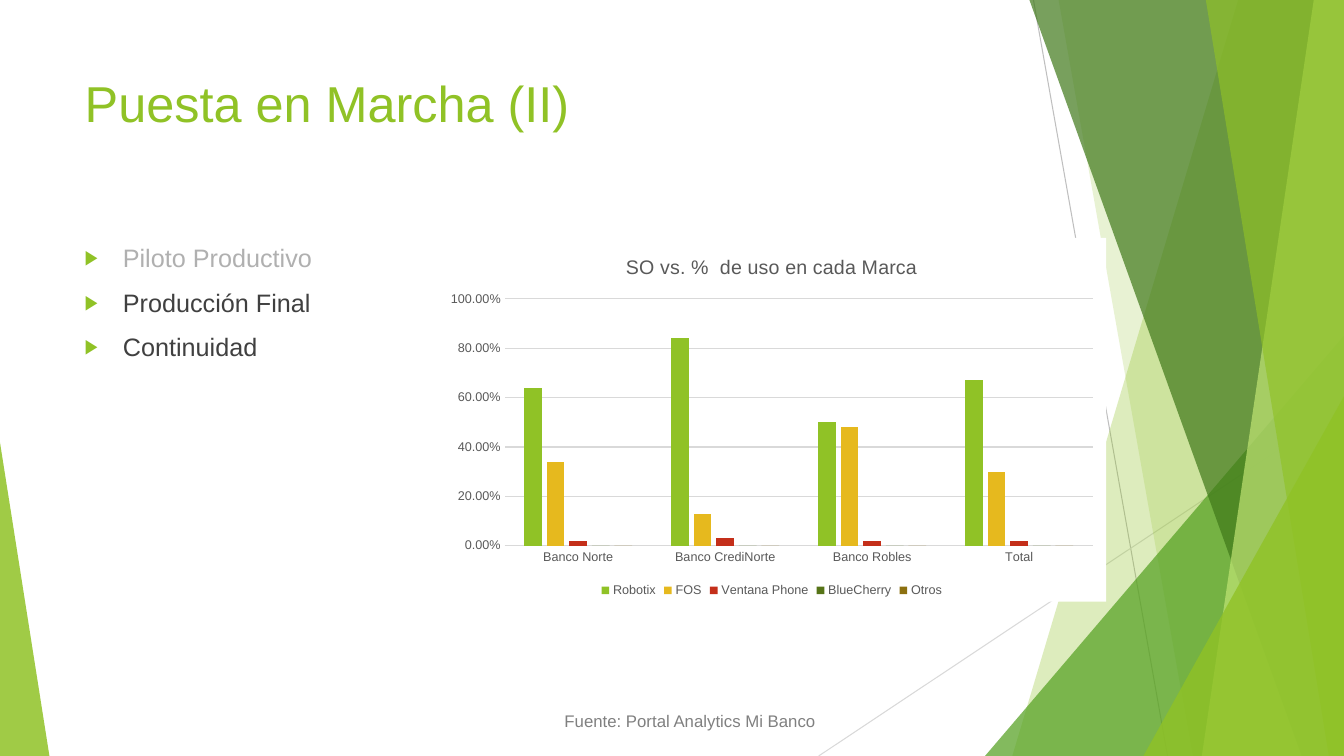
import dataclasses
import typing

import lxml.etree
import pptx
import pptx.chart.data
import pptx.dml.color
import pptx.enum.chart
import pptx.enum.shapes
import pptx.enum.text
import pptx.oxml
import pptx.oxml.ns
import pptx.util

Inches = pptx.util.Inches
Pt = pptx.util.Pt
qn = pptx.oxml.ns.qn
Point = tuple[float, float]


@dataclasses.dataclass(frozen=True)
class Theme:
    font: str = "Arial"
    green: str = "90C226"
    forest: str = "3F7819"
    leaf: str = "54A021"
    lime: str = "C0E474"
    body: str = "404040"
    muted: str = "B0B0B0"
    source: str = "808080"
    chart_text: str = "595959"
    rule: str = "D9D9D9"
    dark_rule: str = "BFBFBF"
    white: str = "FFFFFF"
    title_size: int = 36
    body_size: int = 18
    chart_title_size: int = 14
    source_size: int = 12
    chart_size: int = 9
    line_width: float = 0.75


THEME = Theme()


@dataclasses.dataclass(frozen=True)
class Ray:
    start: Point
    end: Point
    color: str


@dataclasses.dataclass(frozen=True)
class Facet:
    outline: tuple[Point, ...]
    color: str
    opacity: int


@dataclasses.dataclass(frozen=True)
class Corner:
    box: tuple[float, float, float, float]
    apex: float
    color: str
    opacity: int


@dataclasses.dataclass(frozen=True)
class Series:
    name: str
    values: tuple[float, ...]
    color: str


def right_facet(top: float, bottom: float, color: str, opacity: int) -> Facet:
    return Facet(((top, 0), (13.33, 0), (13.33, 7.5), (bottom, 7.5)), color, opacity)


DECORATION = [
    Ray((10.25, 0), (11.58, 7.5), THEME.dark_rule),
    Ray((13.33, 4.03), (8.12, 7.5), THEME.rule),
    right_facet(12.28, 10.04, THEME.green, 30),
    right_facet(10.5, 11.83, THEME.green, 20),
    Corner((9.77, 3.33, 3.56, 4.17), 1, THEME.leaf, 72),
    right_facet(10.21, 12.91, THEME.forest, 70),
    right_facet(13.03, 11.92, THEME.lime, 70),
    right_facet(11.96, 13.18, THEME.green, 65),
    Corner((11.34, 3.93, 1.99, 3.57), 1, THEME.green, 80),
    Corner((0, 4.39, 0.49, 3.11), 0, THEME.green, 85),
]
STAGES = [
    ("Piloto Productivo", THEME.muted),
    ("Producción Final", THEME.body),
    ("Continuidad", THEME.body),
]
BRANDS = ["Banco Norte", "Banco CrediNorte", "Banco Robles", "Total"]
SYSTEMS = [
    Series("Robotix", (0.64, 0.84, 0.5, 0.67), THEME.green),
    Series("FOS", (0.34, 0.13, 0.48, 0.3), "E6B91E"),
    Series("Ventana Phone", (0.02, 0.03, 0.02, 0.02), "C42F1A"),
    Series("BlueCherry", (0, 0, 0, 0), "567417"),
    Series("Otros", (0, 0, 0, 0), "8C7010"),
]


def rgb(color: str) -> pptx.dml.color.RGBColor:
    return pptx.dml.color.RGBColor.from_string(color)


def apply(target: typing.Any, values: dict[str, typing.Any]) -> None:
    for name, value in values.items():
        setattr(target, name, value)


def style_font(font: typing.Any, size: int, color: str) -> None:
    apply(font, {"name": THEME.font, "size": Pt(size), "bold": False})
    font.color.rgb = rgb(color)


def style_line(line: typing.Any, color: str) -> None:
    line.color.rgb = rgb(color)
    line.width = Pt(THEME.line_width)


def paint(shape: typing.Any, color: str, opacity: int) -> None:
    shape.shadow.inherit = False
    shape.line.fill.background()
    shape.fill.solid()
    shape.fill.fore_color.rgb = rgb(color)
    tint = shape.element.spPr.find(".//" + qn("a:srgbClr"))
    lxml.etree.SubElement(tint, qn("a:alpha"), val=str(opacity * 1000))


def draw_ray(shapes: typing.Any, ray: Ray) -> None:
    ends = [Inches(value) for value in ray.start + ray.end]
    connector = shapes.add_connector(pptx.enum.shapes.MSO_CONNECTOR.STRAIGHT, *ends)
    style_line(connector.line, ray.color)
    lxml.etree.SubElement(connector.element.spPr, qn("a:effectLst"))


def draw_facet(shapes: typing.Any, facet: Facet) -> None:
    points = [(Inches(x), Inches(y)) for x, y in facet.outline]
    builder = shapes.build_freeform(*points[0])
    builder.add_line_segments(points[1:], close=True)
    paint(builder.convert_to_shape(), facet.color, facet.opacity)


def draw_corner(shapes: typing.Any, corner: Corner) -> None:
    box = [Inches(value) for value in corner.box]
    kind = pptx.enum.shapes.MSO_SHAPE.ISOSCELES_TRIANGLE
    triangle = shapes.add_shape(kind, *box)
    triangle.adjustments[0] = corner.apex
    paint(triangle, corner.color, corner.opacity)


DRAW = {Ray: draw_ray, Facet: draw_facet, Corner: draw_corner}


def place_title(title: typing.Any) -> None:
    title.element.getparent().append(title.element)
    apply(title, {"left": Inches(0.74), "top": Inches(0.67),
                  "width": Inches(9.4), "height": Inches(1.44)})
    title.text_frame.text = "Puesta en Marcha (II)"
    title.text_frame.vertical_anchor = pptx.enum.text.MSO_ANCHOR.TOP
    heading = title.text_frame.paragraphs[0]
    heading.alignment = pptx.enum.text.PP_ALIGN.LEFT
    style_font(heading.font, THEME.title_size, THEME.green)


def add_bullet(paragraph: typing.Any) -> None:
    properties = paragraph._p.get_or_add_pPr()
    properties.set("marL", str(Inches(0.38)))
    properties.set("indent", str(-Inches(0.38)))
    color = lxml.etree.SubElement(properties, qn("a:buClr"))
    lxml.etree.SubElement(color, qn("a:srgbClr"), val=THEME.green)
    lxml.etree.SubElement(properties, qn("a:buSzPct"), val="80000")
    lxml.etree.SubElement(properties, qn("a:buFont"), typeface=THEME.font)
    lxml.etree.SubElement(properties, qn("a:buChar"), char="▶")


def draw_stages(shapes: typing.Any) -> None:
    box = shapes.add_textbox(Inches(0.74), Inches(2.36), Inches(2.89), Inches(4.24))
    frame = box.text_frame
    frame.word_wrap = True
    for index, (stage, color) in enumerate(STAGES):
        paragraph = frame.add_paragraph() if index else frame.paragraphs[0]
        paragraph.text = stage
        paragraph.space_before = Pt(10 if index else 0)
        add_bullet(paragraph)
        style_font(paragraph.font, THEME.body_size, color)


def draw_usage_chart(shapes: typing.Any) -> None:
    usage = pptx.chart.data.CategoryChartData(number_format="0.00%")
    usage.categories = BRANDS
    for system in SYSTEMS:
        usage.add_series(system.name, system.values)
    kind = pptx.enum.chart.XL_CHART_TYPE.COLUMN_CLUSTERED
    chart = shapes.add_chart(kind, Inches(4.34), Inches(2.36), Inches(6.63),
                             Inches(3.61), usage).chart
    style_font(chart.font, THEME.chart_size, THEME.chart_text)
    backdrop = lxml.etree.Element(qn("c:spPr"))
    fill = lxml.etree.SubElement(backdrop, qn("a:solidFill"))
    lxml.etree.SubElement(fill, qn("a:srgbClr"), val=THEME.white)
    chart.element.find(qn("c:chart")).addnext(backdrop)

    chart.has_title = True
    heading = chart.chart_title.text_frame
    heading.text = "SO vs. %  de uso en cada Marca"
    style_font(heading.paragraphs[0].font, THEME.chart_title_size, THEME.chart_text)
    chart.has_legend = True
    apply(chart.legend, {"position": pptx.enum.chart.XL_LEGEND_POSITION.BOTTOM,
                         "include_in_layout": False})
    style_font(chart.legend.font, THEME.chart_size, THEME.chart_text)

    no_tick = pptx.enum.chart.XL_TICK_MARK.NONE
    for axis in (chart.category_axis, chart.value_axis):
        apply(axis, {"major_tick_mark": no_tick, "minor_tick_mark": no_tick})
        style_font(axis.tick_labels.font, THEME.chart_size, THEME.chart_text)
    style_line(chart.category_axis.format.line, THEME.rule)
    scale = chart.value_axis
    apply(scale, {"minimum_scale": 0, "maximum_scale": 1, "major_unit": 0.2})
    apply(scale.tick_labels, {"number_format": "0.00%", "number_format_is_linked": False})
    scale.format.line.fill.background()
    style_line(scale.major_gridlines.format.line, THEME.rule)

    plot = chart.plots[0]
    apply(plot, {"gap_width": 219, "overlap": -27, "vary_by_categories": False})
    for columns, system in zip(plot.series, SYSTEMS):
        columns.format.fill.solid()
        columns.format.fill.fore_color.rgb = rgb(system.color)


def draw_source(shapes: typing.Any) -> None:
    box = shapes.add_textbox(Inches(5.5), Inches(7), Inches(2.81), Inches(0.3))
    box.text_frame.word_wrap = True
    box.text_frame.text = "Fuente: Portal Analytics Mi Banco"
    style_font(box.text_frame.paragraphs[0].font, THEME.source_size, THEME.source)


def main() -> None:
    deck = pptx.Presentation()
    apply(deck, {"slide_width": Inches(13.33), "slide_height": Inches(7.5)})
    slide = deck.slides.add_slide(deck.slide_layouts.get_by_name("Title Only"))
    for part in DECORATION:
        DRAW[type(part)](slide.shapes, part)
    place_title(slide.shapes.title)
    draw_stages(slide.shapes)
    draw_usage_chart(slide.shapes)
    draw_source(slide.shapes)
    deck.save("out.pptx")


if __name__ == "__main__":
    main()
